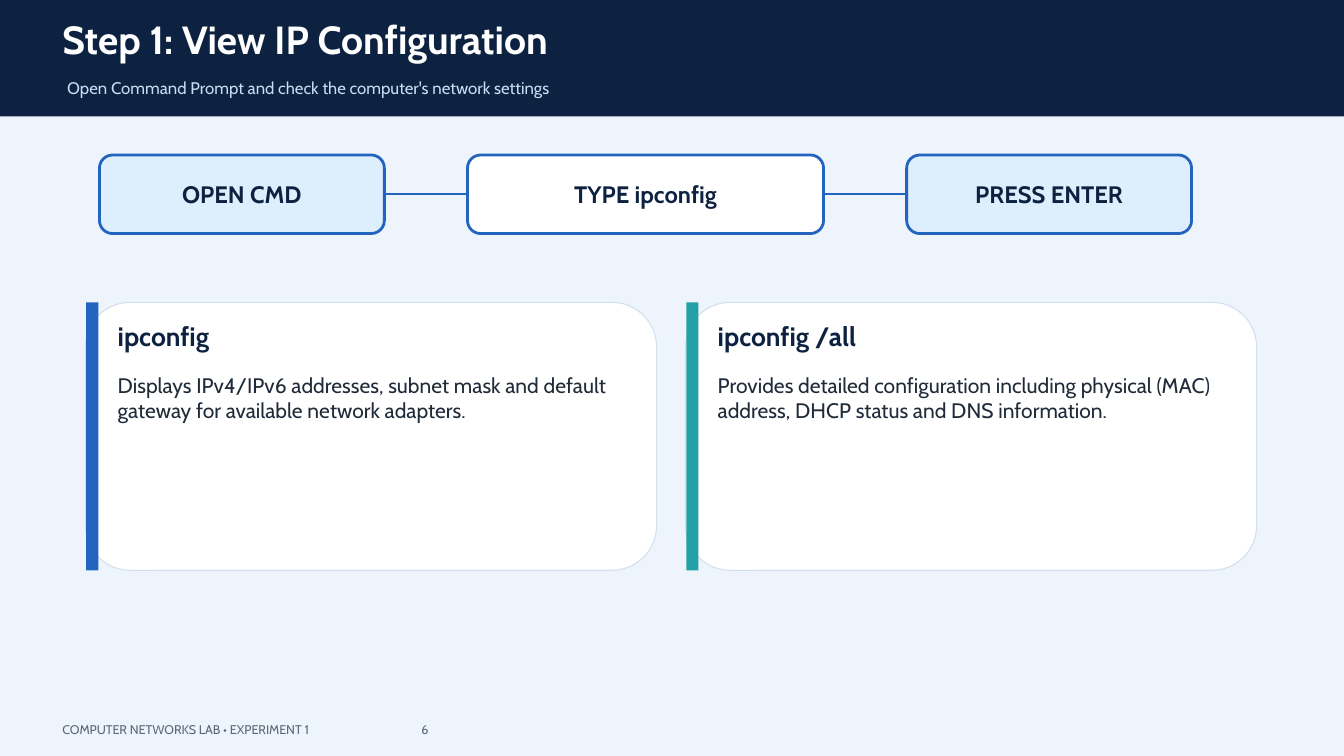
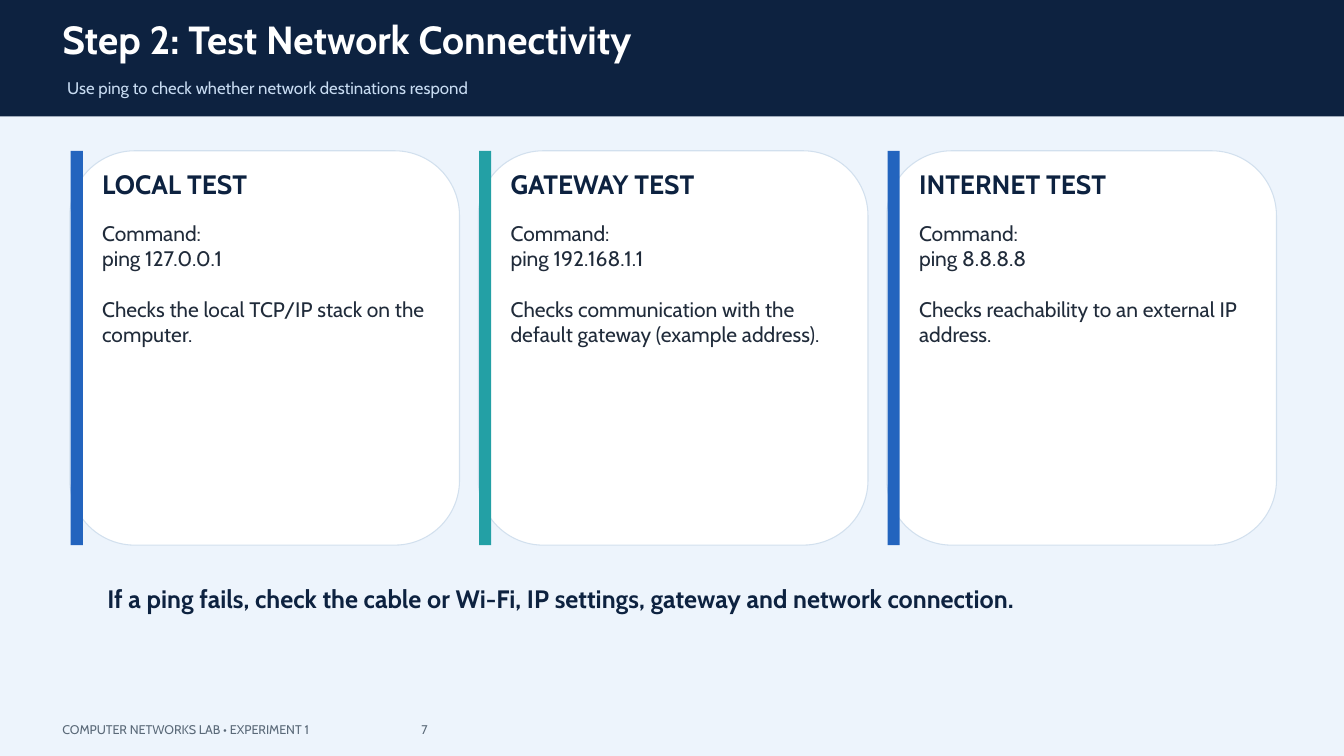
from dataclasses import dataclass

from lxml import etree
from pptx import Presentation
from pptx.dml.color import RGBColor
from pptx.enum.shapes import MSO_CONNECTOR, MSO_SHAPE
from pptx.enum.text import MSO_ANCHOR, MSO_AUTO_SIZE, PP_ALIGN
from pptx.oxml.ns import qn
from pptx.util import Cm, Pt

RECTANGLE = MSO_SHAPE.RECTANGLE
ROUNDED = MSO_SHAPE.ROUNDED_RECTANGLE
STRAIGHT = MSO_CONNECTOR.STRAIGHT
LEFT, CENTER = PP_ALIGN.LEFT, PP_ALIGN.CENTER
TOP, MIDDLE = MSO_ANCHOR.TOP, MSO_ANCHOR.MIDDLE
RIGHT_SIDE, LEFT_SIDE = 3, 1
TITLE_ONLY = 5


@dataclass(frozen=True)
class Theme:
    """Colours, font and type sizes shared by the slides."""

    font: str = "Cabin"
    page: str = "EDF4FC"
    navy: str = "0D2240"
    white: str = "FFFFFF"
    pale: str = "C8DCF2"
    sky: str = "DDEFFC"
    blue: str = "2364BE"
    teal: str = "23A0A5"
    border: str = "D2E0EE"
    ink: str = "202B3A"
    grey: str = "5A6978"
    title_size: float = 42
    subtitle_size: float = 18
    step_size: float = 25.5
    heading_size: float = 28.5
    body_size: float = 22.5
    note_size: float = 27
    footer_size: float = 13.5
    line_factor: float = 1.2


THEME = Theme()
FOOTER = "COMPUTER NETWORKS LAB • EXPERIMENT 1"


def write(shape, *lines, size, color, bold=False, align=LEFT, anchor=TOP,
          inset=0, gap_before=None, tab=None):
    """Fill a shape with formatted paragraphs, one per line."""
    frame = shape.text_frame
    frame.auto_size = MSO_AUTO_SIZE.NONE
    frame.word_wrap = True
    frame.vertical_anchor = anchor
    frame.margin_left = frame.margin_right = Cm(inset)
    frame.margin_top = frame.margin_bottom = Cm(inset)
    leading = Pt(size * THEME.line_factor)
    for index, line in enumerate(lines):
        paragraph = frame.add_paragraph() if index else frame.paragraphs[0]
        if tab:
            properties = paragraph._p.get_or_add_pPr()
            tabs = etree.SubElement(properties, qn("a:tabLst"))
            etree.SubElement(tabs, qn("a:tab"), pos=str(Cm(tab)), algn="l")
        paragraph.alignment = align
        paragraph.line_spacing = leading
        paragraph.space_before = leading if index == gap_before else Pt(0)
        run = paragraph.add_run()
        run.text = line
        run.font.name = THEME.font
        run.font.size = Pt(size)
        run.font.bold = bold
        run.font.color.rgb = RGBColor.from_string(color)


def add_text(slide, box, *lines, **style):
    """Place a text box at box, given in centimetres."""
    write(slide.shapes.add_textbox(*map(Cm, box)), *lines, **style)


def add_block(slide, kind, box, fill, line=None, weight=0):
    """Place a flat preset shape at box, given in centimetres."""
    block = slide.shapes.add_shape(kind, *map(Cm, box))
    block.shadow.inherit = False
    block.fill.solid()
    block.fill.fore_color.rgb = RGBColor.from_string(fill)
    if line:
        block.line.color.rgb = RGBColor.from_string(line)
        block.line.width = Pt(weight)
    else:
        block.line.fill.background()
    return block


def add_frame(deck, title, subtitle, number):
    """Start a slide with its header band, title, subtitle and footer."""
    slide = deck.slides.add_slide(deck.slide_layouts[TITLE_ONLY])
    heading = slide.shapes.title
    band = add_block(slide, RECTANGLE, (0, 0, 50.8, 4.4), THEME.navy)
    heading.element.addprevious(band.element)
    heading.left, heading.top, heading.width, heading.height = map(
        Cm, (2.36, 0.58, 46, 2.08))
    write(heading, title, size=THEME.title_size, color=THEME.white, bold=True)
    add_text(slide, (2.54, 2.95, 45.24, 1), subtitle,
             size=THEME.subtitle_size, color=THEME.pale)
    add_text(slide, (2.36, 27.3, 46, 0.66), f"{FOOTER}\t{number}",
             size=THEME.footer_size, color=THEME.grey, tab=13.57)
    return slide


def add_link(slide, start, end):
    """Join two steps side to side with a straight line."""
    link = slide.shapes.add_connector(STRAIGHT, 0, 0, 0, 0)
    link.begin_connect(start, RIGHT_SIDE)
    link.end_connect(end, LEFT_SIDE)
    link.line.color.rgb = RGBColor.from_string(THEME.blue)
    link.line.width = Pt(2.25)
    etree.SubElement(link.element.spPr, qn("a:effectLst"))


def add_steps(slide, left, top, height, gap, steps):
    """Lay out a row of linked steps given as (label, width, fill)."""
    boxes = []
    for label, width, fill in steps:
        step = add_block(slide, ROUNDED, (left, top, width, height), fill,
                         THEME.blue, 3)
        write(step, label, size=THEME.step_size, color=THEME.navy, bold=True,
              align=CENTER, anchor=MIDDLE, inset=0.15)
        boxes.append(step)
        left += width + gap
    for start, end in zip(boxes, boxes[1:]):
        add_link(slide, start, end)


def add_card(slide, box, accent, heading, body):
    """Draw a card with an accent bar, a heading and body lines."""
    left, top, width, height = box
    add_block(slide, ROUNDED, box, THEME.white, THEME.border, 1.13)
    add_block(slide, RECTANGLE, (left + 0.03, top, 0.46, height), accent)
    text_left, text_width = left + 1.22, width - 2.08
    add_text(slide, (text_left, top + 0.66, text_width, 1.63), heading,
             size=THEME.heading_size, color=THEME.navy, bold=True)
    add_text(slide, (text_left, top + 2.64, text_width, height - 3.18), *body,
             size=THEME.body_size, color=THEME.ink, gap_before=2)


def add_cards(slide, first_box, gap, cards):
    """Repeat cards rightwards from the first box, alternating accents."""
    left, top, width, height = first_box
    accents = (THEME.blue, THEME.teal)
    for index, (heading, *body) in enumerate(cards):
        box = (left + index * (width + gap), top, width, height)
        add_card(slide, box, accents[index % 2], heading, body)


def build_configuration(deck):
    """Build the slide on viewing the IP configuration."""
    slide = add_frame(
        deck, "Step 1: View IP Configuration",
        "Open Command Prompt and check the computer's network settings", 6)
    add_steps(slide, 3.76, 5.86, 2.97, 3.14, (
        ("OPEN CMD", 10.77, THEME.sky),
        ("TYPE ipconfig", 13.46, THEME.white),
        ("PRESS ENTER", 10.77, THEME.sky),
    ))
    add_cards(slide, (3.23, 11.43, 21.59, 10.13), 1.09, (
        ("ipconfig",
         "Displays IPv4/IPv6 addresses, subnet mask and default gateway "
         "for available network adapters."),
        ("ipconfig /all",
         "Provides detailed configuration including physical (MAC) address, "
         "DHCP status and DNS information."),
    ))


def build_connectivity(deck):
    """Build the slide on testing connectivity with ping."""
    slide = add_frame(
        deck, "Step 2: Test Network Connectivity",
        "Use ping to check whether network destinations respond", 7)
    tests = (
        ("LOCAL TEST", "127.0.0.1",
         "Checks the local TCP/IP stack on the computer."),
        ("GATEWAY TEST", "192.168.1.1",
         "Checks communication with the default gateway (example address)."),
        ("INTERNET TEST", "8.8.8.8",
         "Checks reachability to an external IP address."),
    )
    add_cards(slide, (2.64, 5.7, 14.73, 14.91), 0.71, [
        (heading, "Command:", f"ping {address}", purpose)
        for heading, address, purpose in tests
    ])
    add_text(slide, (4.06, 22.07, 42.57, 2.18),
             "If a ping fails, check the cable or Wi-Fi, IP settings, "
             "gateway and network connection.",
             size=THEME.note_size, color=THEME.navy, bold=True)


def main():
    """Build and save the deck."""
    deck = Presentation()
    deck.slide_width, deck.slide_height = Cm(50.8), Cm(28.58)
    page = deck.slide_master.background.fill
    page.solid()
    page.fore_color.rgb = RGBColor.from_string(THEME.page)
    build_configuration(deck)
    build_connectivity(deck)
    deck.save("out.pptx")


if __name__ == "__main__":
    main()
